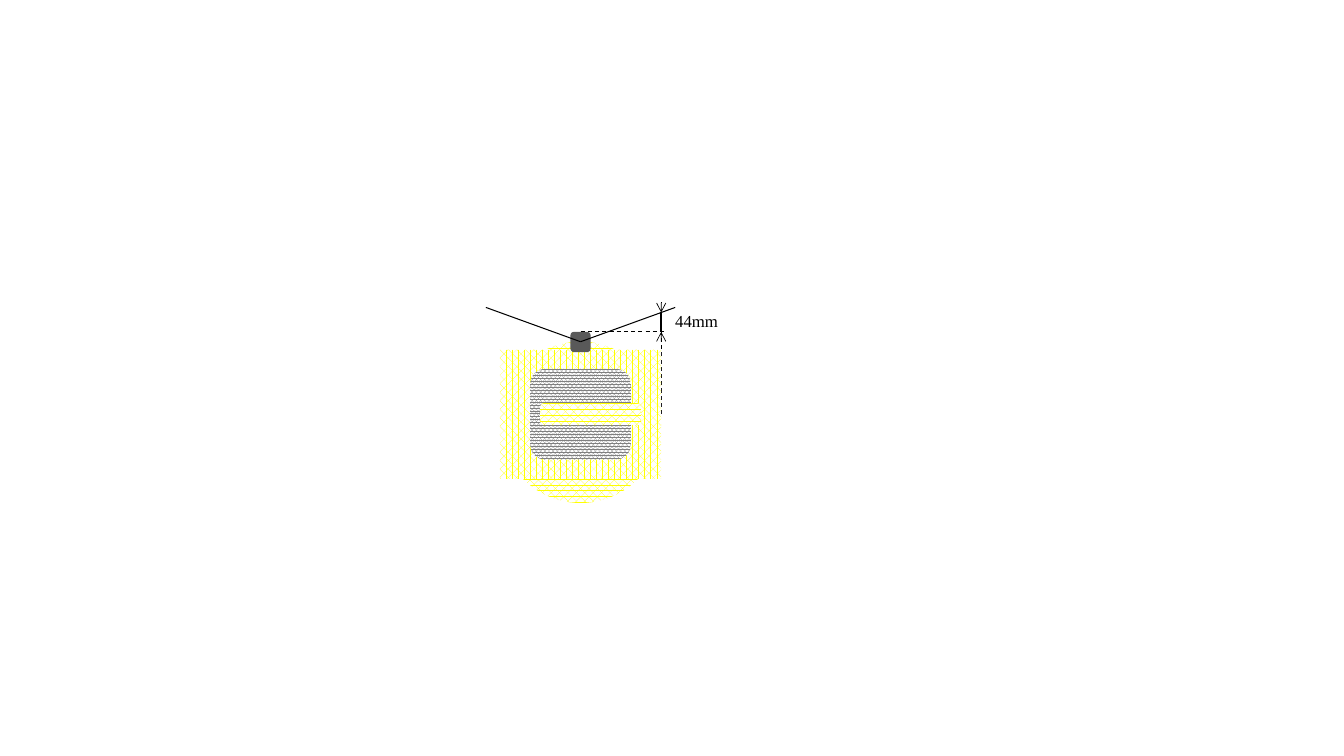
from dataclasses import dataclass
from typing import Optional

import pptx
import pptx.dml.color
import pptx.enum.dml
import pptx.enum.shapes
import pptx.enum.text
import pptx.oxml
import pptx.oxml.ns
import pptx.util

Pt = pptx.util.Pt
RGB = pptx.dml.color.RGBColor
Kind = pptx.enum.shapes.MSO_SHAPE
Pattern = pptx.enum.dml.MSO_PATTERN
Dash = pptx.enum.dml.MSO_LINE


@dataclass(frozen=True)
class Theme:
    ink: RGB = RGB(0, 0, 0)
    paper: RGB = RGB(255, 255, 255)
    yellow: RGB = RGB(255, 255, 0)
    gray: RGB = RGB(0x80, 0x80, 0x80)
    sensor: RGB = RGB(0x59, 0x59, 0x59)
    font: str = "Times New Roman"
    size: float = 12


@dataclass(frozen=True)
class Body:
    kind: Kind
    x: float
    y: float
    w: float
    h: float
    color: RGB
    pattern: Optional[Pattern] = None


@dataclass(frozen=True)
class Line:
    x1: float
    y1: float
    x2: float
    y2: float
    width: float = 0.75
    dashed: bool = False
    arrow: bool = False


T = Theme()


def add_body(shapes, b: Body) -> None:
    sp = shapes.add_shape(b.kind, Pt(b.x), Pt(b.y), Pt(b.w), Pt(b.h))
    sp.shadow.inherit = False
    sp.line.fill.background()
    if b.pattern is None:
        sp.fill.solid()
        sp.fill.fore_color.rgb = b.color
    else:
        sp.fill.patterned()
        sp.fill.pattern = b.pattern
        sp.fill.fore_color.rgb = b.color
        sp.fill.back_color.rgb = T.paper


def add_line(shapes, d: Line) -> None:
    cx = shapes.add_connector(pptx.enum.shapes.MSO_CONNECTOR.STRAIGHT,
                              Pt(d.x1), Pt(d.y1), Pt(d.x2), Pt(d.y2))
    cx.line.color.rgb = T.ink
    cx.line.width = Pt(d.width)
    if d.dashed:
        cx.line.dash_style = Dash.DASH
    ns = pptx.oxml.ns.nsdecls("a")
    if d.arrow:
        cx.line.fill.solid()
        cx.line.color.rgb = T.ink
        ln = cx.line._get_or_add_ln()
        ln.append(pptx.oxml.parse_xml(f'<a:headEnd {ns} type="arrow"/>'))
    cx._element.spPr.append(pptx.oxml.parse_xml(f"<a:effectLst {ns}/>"))


def add_label(shapes, text: str, x: float, y: float, w: float, h: float) -> None:
    tf = shapes.add_textbox(Pt(x), Pt(y), Pt(w), Pt(h)).text_frame
    tf.word_wrap = False
    tf.auto_size = pptx.enum.text.MSO_AUTO_SIZE.SHAPE_TO_FIT_TEXT
    p = tf.paragraphs[0]
    p.text = text
    p.font.name = T.font
    p.font.size = Pt(T.size)
    p.font.color.rgb = T.ink


prs = pptx.Presentation()
prs.slide_width, prs.slide_height = Pt(960), Pt(540)
s = prs.slides.add_slide(prs.slide_layouts[6])
shapes = s.shapes.add_group_shape().shapes

# Reference positions
AXIS, EDGE = 414.7, 472.3          # middle and right side of the head
TOP, APEX = 237.1, 244.1           # top of the sensor and apex of its view
BEAM = 223.2                       # where the view crosses the edge
HEAD = 2 * (EDGE - AXIS)

# Head with hatched areas and the sensor on top
add_line(shapes, Line(EDGE, 295.9, EDGE, BEAM, dashed=True))
for body in (
    Body(Kind.OVAL, AXIS - HEAD / 2, APEX, HEAD, HEAD, T.yellow, Pattern.PERCENT_60),
    Body(Kind.RECTANGLE, AXIS - HEAD / 2, 249.8, HEAD, 92.2, T.yellow, Pattern.PERCENT_60),
    Body(Kind.ROUNDED_RECTANGLE, AXIS - 36, 263.5, 72, 64.8, T.gray, Pattern.PERCENT_80),
    Body(Kind.ROUNDED_RECTANGLE, AXIS - 28.8, 288, 72, 15.8, T.yellow, Pattern.PERCENT_60),
    Body(Kind.ROUNDED_RECTANGLE, AXIS - 7.2, TOP, 14.4, 14.4, T.sensor),
):
    add_body(shapes, body)

# Field of view
for side in (1, -1):
    add_line(shapes, Line(AXIS, APEX, AXIS + side * 67.6, 219.6))

# Dimension between the sensor top and the view
for line in (
    Line(AXIS, TOP, 475.9, TOP, dashed=True),
    Line(EDGE, BEAM, EDGE, TOP, width=1.5),
    Line(EDGE, BEAM, EDGE, BEAM - 7.2, width=0.5, arrow=True),
    Line(EDGE, TOP, EDGE, TOP + 7.2, width=0.5, arrow=True),
):
    add_line(shapes, line)
add_label(shapes, "44mm", 475.2, 218.2, 45.4, 21.6)

prs.save("out.pptx")
